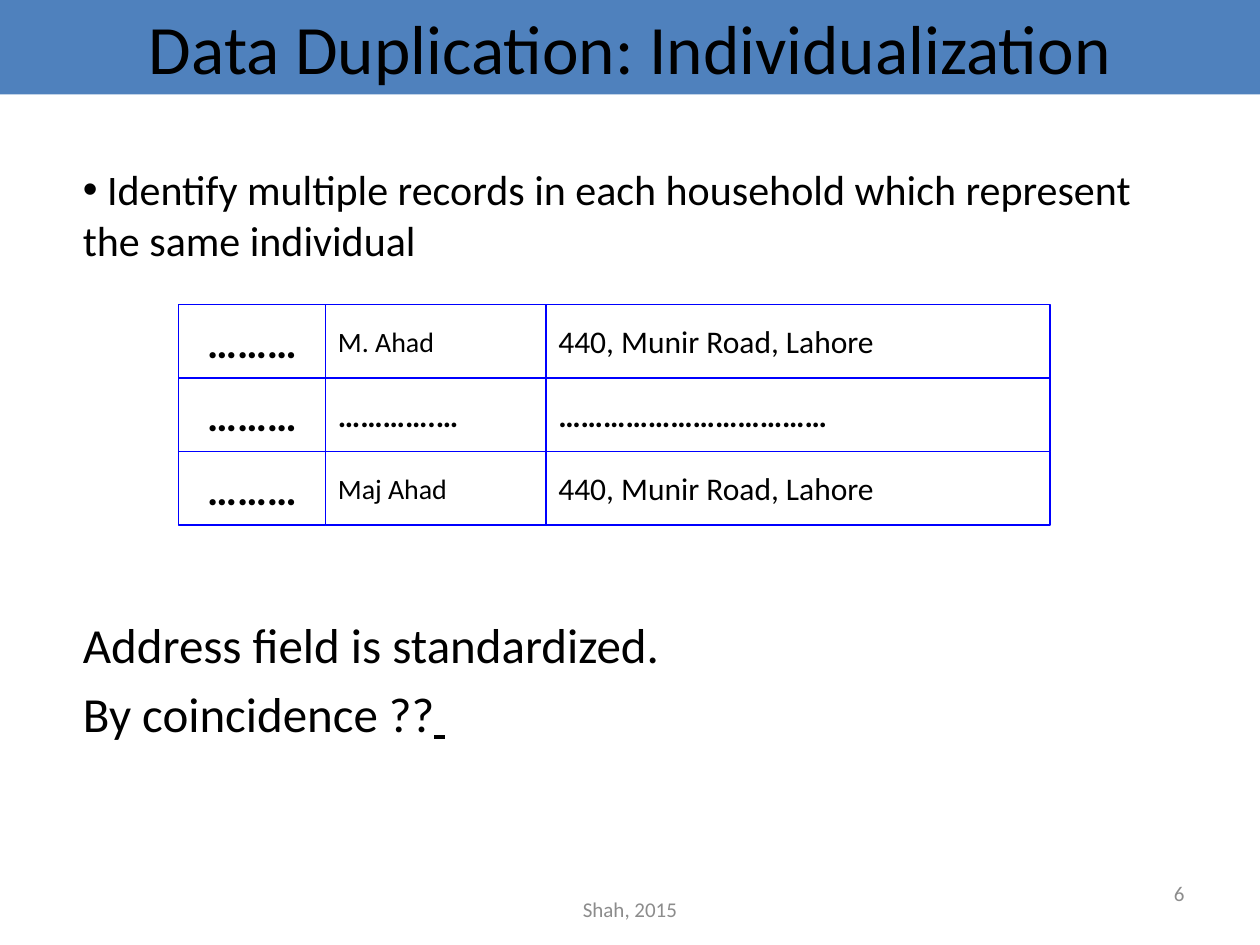
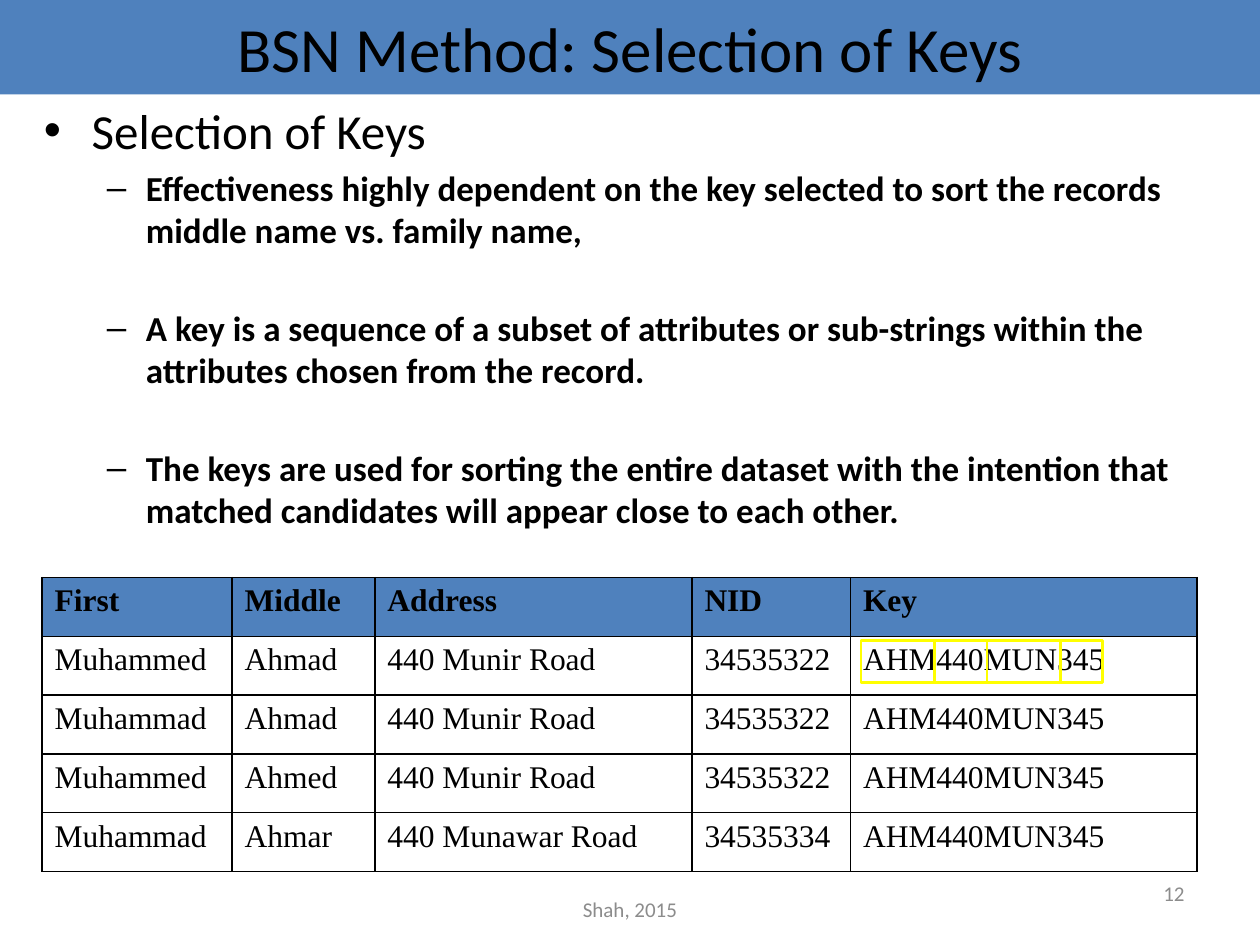
from dataclasses import dataclass
from itertools import accumulate

from lxml.etree import SubElement as Sub
from pptx import Presentation
from pptx.dml.color import RGBColor as Rgb
from pptx.enum.shapes import MSO_SHAPE as Form
from pptx.enum.text import MSO_ANCHOR as Anchor, PP_ALIGN as Align
from pptx.oxml.ns import qn
from pptx.util import Emu, Inches, Pt

HUES = {
    "band": "4F81BD",
    "ink": "000000",
    "note": "8C8C8C",
    "grid": "0000FF",
    "mark": "FFFF00",
}
SANS, SERIF = "Calibri", "Times New Roman"
UNIT = Inches(1) // 12  # the slide is 120 columns by 90 rows


@dataclass
class Box:
    """A place on the grid, in columns and rows."""
    col: float
    row: float
    wide: float
    high: float

    def place(self) -> list[Emu]:
        return [Emu(round(n * UNIT)) for n in (self.col, self.row, self.wide, self.high)]


@dataclass
class Style:
    size: float
    bold: bool = False
    hue: str = "ink"
    face: str = SANS
    align: Align = Align.LEFT


@dataclass
class Para:
    text: str
    style: Style
    gap: float = 0
    left: float = 0
    hang: float = 0
    mark: str = ""


BAND = Box(0, 0, 120, 9)
FOOT = Box(41, 85, 38, 3.1)
PAGE = Box(86, 82, 28, 6.2)

DOTS = Style(24, bold=True, align=Align.CENTER)
NAME, ADDR = Style(16), Style(18)
FILL = Style(18, bold=True)
PEOPLE = [
    [("………", DOTS), ("M. Ahad", NAME), ("440, Munir Road, Lahore", ADDR)],
    [("………", DOTS), ("………….…", FILL), ("………………………………", FILL)],
    [("………", DOTS), ("Maj Ahad", NAME), ("440, Munir Road, Lahore", ADDR)],
]

KEYS = [
    ["First", "Middle", "Address", "NID", "Key"],
    ["Muhammed", "Ahmad", "440 Munir Road", "34535322", "AHM440MUN345"],
    ["Muhammad", "Ahmad", "440 Munir Road", "34535322", "AHM440MUN345"],
    ["Muhammed", "Ahmed", "440 Munir Road", "34535322", "AHM440MUN345"],
    ["Muhammad", "Ahmar", "440 Munawar Road", "34535334", "AHM440MUN345"],
]
POINTS = [
    "Effectiveness highly dependent on the key selected to sort the records "
    "middle name vs. family name,",
    "A key is a sequence of a subset of attributes or sub-strings within the "
    "attributes chosen from the record.",
    "The keys are used for sorting the entire dataset with the intention that "
    "matched candidates will appear close to each other.",
]


def tint(hue: str) -> Rgb:
    return Rgb.from_string(HUES[hue])


def write(par, item: Para) -> None:
    """Put text, indent, bullet and font on one paragraph."""
    par.text = item.text
    par.alignment = item.style.align
    props = par._p.get_or_add_pPr()
    props.set("marL", str(Inches(item.left)))
    props.set("indent", str(Inches(item.hang)))
    if item.gap:
        par.space_before = Pt(item.gap)
    if item.mark:
        Sub(props, qn("a:buFont"), typeface="Arial")
        Sub(props, qn("a:buChar"), char=item.mark)
    font, style = par.font, item.style
    font.name, font.size, font.bold = style.face, Pt(style.size), style.bold
    font.color.rgb = tint(style.hue)


def fill_frame(frame, items: list[Para], anchor: Anchor) -> None:
    frame.word_wrap = True
    frame.vertical_anchor = anchor
    for i, item in enumerate(items):
        write(frame.add_paragraph() if i else frame.paragraphs[0], item)


def add_text(slide, box: Box, items: list[Para], anchor: Anchor = Anchor.TOP):
    frame = slide.shapes.add_textbox(*box.place()).text_frame
    fill_frame(frame, items, anchor)
    return frame


def add_rect(slide, box: Box, fill: str = "", line: str = "", width: float = 0.75):
    rect = slide.shapes.add_shape(Form.RECTANGLE, *box.place())
    rect.shadow.inherit = False
    if fill:
        rect.fill.solid()
        rect.fill.fore_color.rgb = tint(fill)
    else:
        rect.fill.background()
    if line:
        rect.line.color.rgb = tint(line)
        rect.line.width = Pt(width)
    else:
        rect.line.fill.background()
    return rect


def add_slide(deck, title: str, size: float, page: int, anchor: Anchor):
    """Start a slide with the title band, footer and page number."""
    slide = deck.slides.add_slide(deck.slide_layouts[6])
    head = Para(title, Style(size, align=Align.CENTER))
    fill_frame(add_rect(slide, BAND, fill="band").text_frame, [head], anchor)
    for box, text, align in ((FOOT, "Shah, 2015", Align.CENTER),
                             (PAGE, str(page), Align.RIGHT)):
        note = Para(text, Style(12, hue="note", align=align))
        add_text(slide, box, [note], Anchor.MIDDLE)
    return slide


def edge_cell(cell) -> None:
    """Draw the four borders of a table cell."""
    props = cell._tc.get_or_add_tcPr()
    for i, side in enumerate(("lnL", "lnR", "lnT", "lnB")):
        line = props.makeelement(qn(f"a:{side}"), {"w": str(Pt(1))})
        solid = Sub(line, qn("a:solidFill"))
        Sub(solid, qn("a:srgbClr"), val=HUES["ink"])
        props.insert(i, line)


def add_keys(slide, box: Box, widths: list[float]) -> None:
    table = slide.shapes.add_table(len(KEYS), len(widths), *box.place()).table
    for col, wide in zip(table.columns, widths):
        col.width = Emu(round(wide * UNIT))
    for r, row in enumerate(KEYS):
        table.rows[r].height = Emu(round(box.high / len(KEYS) * UNIT))
        for c, text in enumerate(row):
            cell = table.cell(r, c)
            write(cell.text_frame.paragraphs[0],
                  Para(text, Style(18, bold=r == 0, face=SERIF)))
            if r == 0:
                cell.fill.solid()
                cell.fill.fore_color.rgb = tint("band")
            else:
                cell.fill.background()
            edge_cell(cell)


def draw_people(deck) -> None:
    slide = add_slide(deck, "Data Duplication: Individualization", 39.6, 6, Anchor.BOTTOM)
    lead = " Identify multiple records in each household which represent the same individual"
    big = Style(28)
    body = add_text(slide, Box(6, 15, 103, 59), [
        Para(lead, Style(24), left=0.06, mark="•"),
        Para("Address field is standardized.", big, gap=200, left=0.06),
        Para("By coincidence ??", big, gap=5.6, left=0.06),
    ])
    tail = body.paragraphs[-1].add_run()
    tail.text = " "
    tail.font.italic = tail.font.underline = True

    widths, high = [14, 21, 48], 7
    lefts = accumulate(widths[:-1], initial=17)
    for c, (left, wide) in enumerate(zip(lefts, widths)):
        for r, row in enumerate(PEOPLE):
            rect = add_rect(slide, Box(left, 29 + r * high, wide, high), line="grid")
            fill_frame(rect.text_frame, [Para(*row[c])], Anchor.MIDDLE)


def draw_keys(deck) -> None:
    slide = add_slide(deck, "BSN Method: Selection of Keys", 36, 12, Anchor.MIDDLE)
    items = [Para("Selection of Keys", Style(28), left=0.38, hang=-0.38, mark="•")]
    items += [Para(text, Style(20, bold=True), gap=32 if i else 4,
                   left=0.81, hang=-0.31, mark="–")
              for i, text in enumerate(POINTS)]
    add_text(slide, Box(3, 9, 114, 42), items)
    add_keys(slide, Box(4, 55, 110, 28), [18.1, 13.6, 30.2, 15.1, 33])

    parts = [7, 5, 7, 4]
    for left, wide in zip(accumulate(parts[:-1], initial=82), parts):
        add_rect(slide, Box(left, 61, wide, 4), line="mark", width=1.5)


def main() -> None:
    deck = Presentation()
    deck.slide_width, deck.slide_height = 120 * UNIT, 90 * UNIT
    draw_people(deck)
    draw_keys(deck)
    deck.save("out.pptx")


if __name__ == "__main__":
    main()
